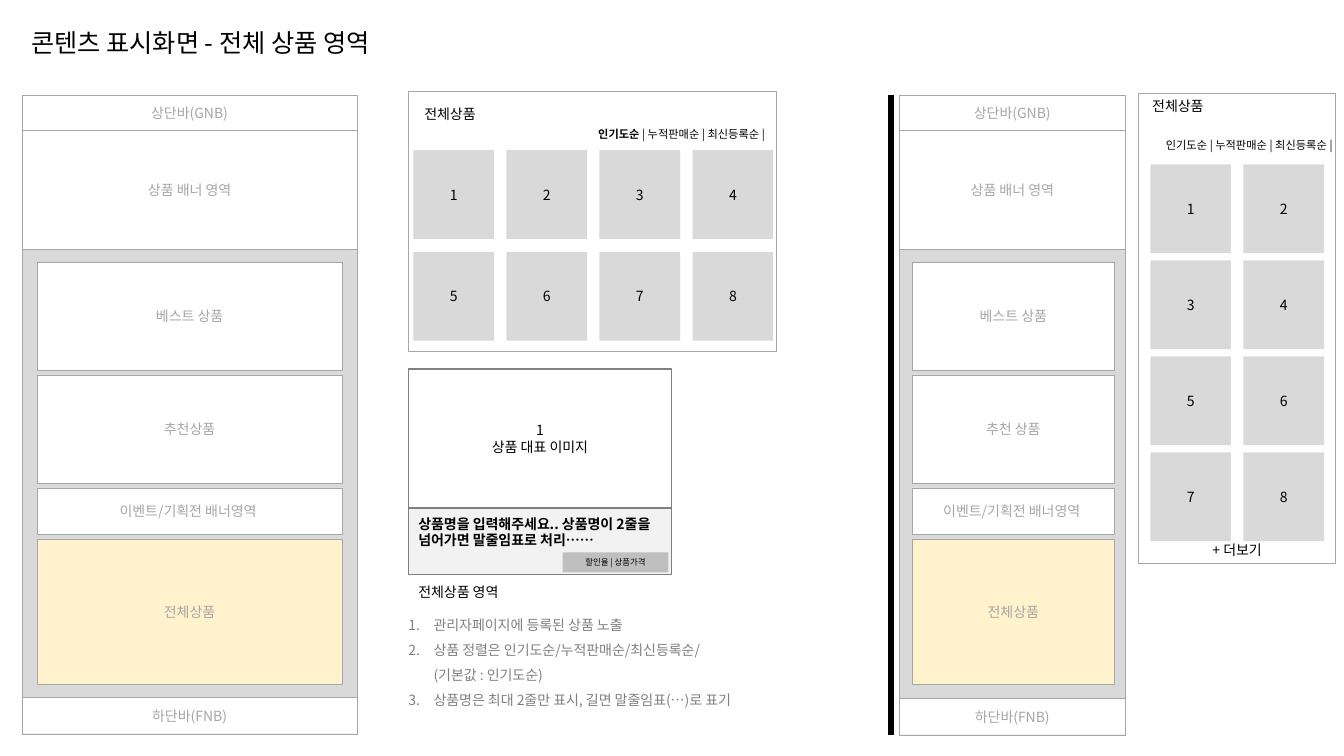
"""Build the wireframe slide for the all-products area."""
import copy

import pptx
import pptx.dml.color
import pptx.enum.shapes
import pptx.enum.text
import pptx.oxml
import pptx.oxml.ns
import pptx.util

Inches = pptx.util.Inches
Pt = pptx.util.Pt
RGBColor = pptx.dml.color.RGBColor
ALIGN = pptx.enum.text.PP_ALIGN
ANCHOR = pptx.enum.text.MSO_ANCHOR
qn = pptx.oxml.ns.qn

FONT = "Noto Sans CJK KR"
BLACK = RGBColor(0x00, 0x00, 0x00)
WHITE = RGBColor(0xFF, 0xFF, 0xFF)
PALE = RGBColor(0xF2, 0xF2, 0xF2)
LIGHT = RGBColor(0xD9, 0xD9, 0xD9)
SILVER = RGBColor(0xBF, 0xBF, 0xBF)
MUTED = RGBColor(0xA6, 0xA6, 0xA6)
GRAY = RGBColor(0x80, 0x80, 0x80)
CREAM = RGBColor(0xFF, 0xF2, 0xCC)


def style_text(frame, size, color, align, bold=False):
    """Format every run and line break of a text frame."""
    for paragraph in frame.paragraphs:
        paragraph.alignment = align
        for run in paragraph.runs:
            run.font.name, run.font.size, run.font.bold = FONT, Pt(size), bold
            run.font.color.rgb = color
            east_asian = pptx.oxml.parse_xml(
                f'<a:ea {pptx.oxml.ns.nsdecls("a")} typeface="{FONT}"/>')
            run.font._element.find(qn("a:latin")).addnext(east_asian)
        for line_break in paragraph._p.findall(qn("a:br")):
            line_break.insert(0, copy.deepcopy(paragraph.runs[0].font._element))


def add_block(shapes, box, fill, line=None, width=0.25, text="", size=10,
              color=BLACK, align=ALIGN.CENTER, bold=False):
    """Add a rectangle with optional outline and text."""
    block = shapes.add_shape(pptx.enum.shapes.MSO_SHAPE.RECTANGLE, *map(Inches, box))
    block.shadow.inherit = False
    block.fill.solid()
    block.fill.fore_color.rgb = fill
    if line is None:
        block.line.fill.background()
    else:
        block.line.color.rgb = line
        block.line.width = Pt(width)
    if text:
        block.text_frame.text = text
        block.text_frame.vertical_anchor = ANCHOR.MIDDLE
        style_text(block.text_frame, size, color, align, bold)
    return block


def add_label(shapes, box, text, size=10, color=BLACK, align=ALIGN.LEFT):
    """Add a wrapping text box that grows with its text."""
    label = shapes.add_textbox(*map(Inches, box))
    frame = label.text_frame
    frame.word_wrap = True
    frame.auto_size = pptx.enum.text.MSO_AUTO_SIZE.SHAPE_TO_FIT_TEXT
    frame.text = text
    style_text(frame, size, color, align)
    return label


def build_title(slide, box):
    """Place and format the slide title."""
    title = slide.shapes.title
    title.left, title.top, title.width, title.height = map(Inches, box)
    frame = title.text_frame
    frame.text = "콘텐츠 표시화면 - 전체 상품 영역"
    frame.vertical_anchor = ANCHOR.TOP
    frame.auto_size = pptx.enum.text.MSO_AUTO_SIZE.SHAPE_TO_FIT_TEXT
    style_text(frame, 18, BLACK, ALIGN.LEFT)
    frame.paragraphs[0].line_spacing = 1.0
    frame.paragraphs[0].space_before = Pt(0)


def build_page_layout(slide, box, margin, section_width, recommended):
    """Draw a page outline with header, banner, sections and footer."""
    left, top, width, height = box
    bar = 0.36
    add_block(slide.shapes, (left, top + 1.53, width, height - 1.53), LIGHT, MUTED)
    bands = [
        (0, bar, "상단바(GNB)"),
        (0.35, 1.18, "상품 배너 영역"),
        (height - bar, bar, "하단바(FNB)"),
    ]
    for offset, band_height, name in bands:
        add_block(slide.shapes, (left, top + offset, width, band_height),
                  WHITE, MUTED, text=name, color=MUTED)
    sections = [
        (1.07, "베스트 상품", WHITE),
        (1.07, recommended, WHITE),
        (0.46, "이벤트/기획전 배너영역 ", WHITE),
        (1.44, "전체상품", CREAM),
    ]
    section_top = top + 1.66
    for section_height, name, fill in sections:
        add_block(slide.shapes, (left + margin, section_top, section_width, section_height),
                  fill, MUTED, text=name, color=MUTED)
        section_top += section_height + 0.05


def build_product_grid(slide, box, columns, rows, row_pitch):
    """Draw numbered product tiles in a group."""
    left, top = box[:2]
    tiles = slide.shapes.add_group_shape().shapes
    for index in range(columns * rows):
        row, column = divmod(index, columns)
        add_block(tiles, (left + column * 0.923, top + row * row_pitch, 0.8, 0.88),
                  LIGHT, text=str(index + 1))


def build_desktop_panel(slide, box):
    """Draw the wide product list with its sort options."""
    left, top, width, height = box
    add_block(slide.shapes, box, WHITE, MUTED)
    add_label(slide.shapes, (left + 0.06, top + 0.09, 2.51, 0.27), "전체상품")
    sorting = add_label(slide.shapes, (left + 1.08, top + 0.3, 2.58, 0.24),
                        "인기도순 ", 8, align=ALIGN.RIGHT)
    sorting.text_frame.paragraphs[0].add_run().text = "| 누적판매순 | 최신등록순 | "
    style_text(sorting.text_frame, 8, BLACK, ALIGN.RIGHT)
    sorting.text_frame.paragraphs[0].runs[0].font.bold = True
    build_product_grid(slide, (left + 0.05, top + 0.58), 4, 2, 1.01)


def build_mobile_panel(slide, box):
    """Draw the narrow product list with its more link."""
    left, top, width, height = box
    add_block(slide.shapes, box, WHITE, MUTED)
    add_label(slide.shapes, (left + 0.04, top, 1.7, 0.27), "전체상품")
    add_label(slide.shapes, (left - 0.08, top + 0.4, 2.13, 0.24),
              "인기도순 | 누적판매순 | 최신등록순 | ", 8, align=ALIGN.RIGHT)
    build_product_grid(slide, (left + 0.12, top + 0.71), 2, 4, 0.953)
    add_label(slide.shapes, (left + 0.13, top + 4.4, 1.7, 0.27),
              "+ 더보기", align=ALIGN.CENTER)


def build_product_card(slide, box):
    """Draw one product card with image, name and price."""
    left, top, width, height = box
    image_height = 1.38
    add_block(slide.shapes, (left, top, width, image_height), WHITE, GRAY, 1,
              "1\n상품 대표 이미지")
    name = add_block(
        slide.shapes, (left, top + image_height, width, height - image_height), PALE, GRAY, 1,
        "상품명을 입력해주세요.. 상품명이 2줄을 넘어가면 말줄임표로 처리……",
        align=ALIGN.LEFT, bold=True)
    name.text_frame.vertical_anchor = ANCHOR.TOP
    name.text_frame.margin_top = Inches(0.07)
    add_block(slide.shapes, (left + 1.53, top + 1.82, 1.05, 0.2), SILVER,
              text="할인율 | 상품가격", size=6)


def build_notes(slide, box):
    """Write the heading and numbered rules of the area."""
    left, top, width, height = box
    add_label(slide.shapes, (left, top, 2.51, 0.27), "전체상품 영역")
    rules = add_label(
        slide.shapes, (left, top + 0.29, width, height - 0.29),
        "관리자페이지에 등록된 상품 노출\n"
        "상품 정렬은 인기도순/누적판매순/최신등록순/ \v(기본값 : 인기도순)\n"
        "상품명은 최대 2줄만 표시, 길면 말줄임표(…)로 표기", color=GRAY)
    frame = rules.text_frame
    frame.margin_left = frame.margin_right = frame.margin_top = frame.margin_bottom = 0
    for rule in frame.paragraphs:
        rule.line_spacing = 1.5
        properties = rule._p.get_or_add_pPr()
        properties.set("marL", str(Inches(0.25)))
        properties.set("indent", str(-Inches(0.25)))
        properties.append(pptx.oxml.parse_xml(
            f'<a:buAutoNum {pptx.oxml.ns.nsdecls("a")} type="arabicPeriod"/>'))


def build_divider(slide, box):
    """Draw the thick vertical rule between desktop and mobile."""
    left, top, width, height = box
    divider = slide.shapes.add_connector(
        pptx.enum.shapes.MSO_CONNECTOR.STRAIGHT,
        *map(Inches, (left, top, left + width, top + height)))
    divider.line.color.rgb = BLACK
    divider.line.width = Pt(4.5)
    divider._element.spPr.append(
        pptx.oxml.parse_xml(f'<a:effectLst {pptx.oxml.ns.nsdecls("a")}/>'))


def main():
    """Assemble and save the slide."""
    deck = pptx.Presentation()
    deck.slide_width, deck.slide_height = Inches(13.33), Inches(7.5)
    slide = deck.slides.add_slide(deck.slide_layouts[5])
    build_title(slide, (0.21, 0.22, 12.77, 0.4))
    build_page_layout(slide, (0.22, 0.94, 3.32, 6.34), 0.15, 3.02, "추천상품")
    build_desktop_panel(slide, (4.05, 0.91, 3.65, 2.57))
    build_product_card(slide, (4.05, 3.66, 2.61, 2.04))
    build_notes(slide, (4.05, 5.74, 3.93, 1.27))
    build_divider(slide, (8.84, 0.94, 0, 6.35))
    build_page_layout(slide, (8.92, 0.94, 2.24, 6.35), 0.13, 2, "추천 상품")
    build_mobile_panel(slide, (11.29, 0.92, 1.95, 4.67))
    deck.save("out.pptx")


main()
